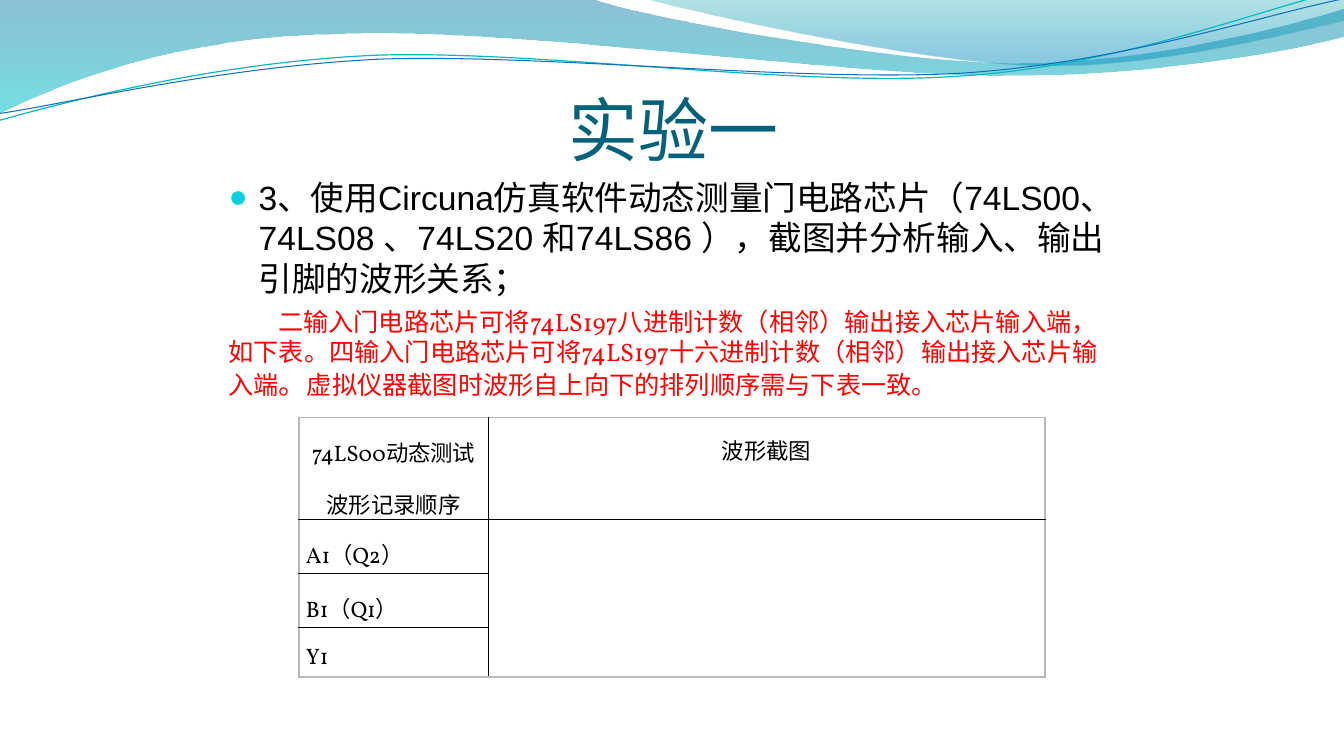
from dataclasses import dataclass

from lxml import etree
from pptx import Presentation
from pptx import util as u
from pptx.dml.color import RGBColor
from pptx.enum import text
from pptx.oxml import parse_xml
from pptx.oxml.ns import nsdecls, qn


@dataclass(frozen=True)
class Theme:
    title_color: str = "04617B"
    body_color: str = "000000"
    hint_color: str = "FF0000"
    bullet_color: str = "0BD0D9"
    frame_color: str = "B8B8B8"
    wave_lines: tuple = (("0AB8BF", 0.85), ("0F6FC6", 0.75))
    wave_fills: tuple = (
        ((0, "0074A1", 45), (100, "00C6CF", 55)),
        ((0, "00A1A9", 30), (80, "008BBF", 45)),
    )
    title_font: str = "Calibri"
    task_font: str = "Arial"
    text_font: str = "Vollkorn"
    title_size: int = 50
    task_size: int = 24
    stop_size: int = 20
    hint_size: int = 18
    cell_size: int = 16


THEME = Theme()
WAVE_UNITS = 13.33
STRAND_ANGLE = 357.3
BANDS = (
    [(0, 0), (5.87, -0.01),
     (6.34, 0.17, 8.85, 0.63, 10.11, 0.63), (11.38, 0.63, 12.78, 0.26, 13.33, 0.09),
     (13.35, 0.36),
     (13.11, 0.44, 11.6, 0.76, 9.94, 0.75), (8.29, 0.75, 5.09, 0.28, 3.43, 0.34),
     (1.72, 0.36, 0.61, 0.83, -0.01, 1.13)],
    [(6.39, -0.01),
     (6.79, 0.11, 9.09, 0.62, 10.25, 0.65), (11.41, 0.69, 12.82, 0.32, 13.33, 0.21),
     (13.33, 0)],
)
STRANDS = (
    [(-0.03, 0.88),
     (0.63, 0.73, 2.11, 0.41, 3.69, 0.41), (5.28, 0.42, 7.88, 0.93, 9.49, 0.89),
     (11.09, 0.87, 12.54, 0.36, 13.33, 0.22)],
    [(-0.02, 0.81),
     (0.62, 0.75, 2.18, 0.45, 3.78, 0.45), (5.37, 0.47, 7.95, 0.88, 9.54, 0.86),
     (11.14, 0.83, 12.56, 0.42, 13.36, 0.3)],
)


def add_run(paragraph, wording, *, font, size, color):
    run = paragraph.add_run()
    run.text = wording
    run.font.name = font
    run.font.size = u.Pt(size)
    run.font.color.rgb = RGBColor.from_string(color)


def draw_outline(slide, box, steps, close):
    left, top, width = box
    scale = width / WAVE_UNITS
    points = [(round(left + step[i] * scale), round(top + step[i + 1] * scale))
              for step in steps for i in range(0, len(step), 2)]
    builder = slide.shapes.build_freeform(*points[0])
    builder.add_line_segments(points[1:], close=close)
    outline = builder.convert_to_shape()
    outline.shadow.inherit = False
    segments = iter(list(outline._element.iter(qn("a:lnTo"))))
    for step in steps[1:]:
        parts = [next(segments) for _ in range(len(step) // 2)]
        if len(parts) == 3:
            curve = etree.Element(qn("a:cubicBezTo"))
            parts[0].addprevious(curve)
            for part in parts:
                curve.append(part[0])
                part.getparent().remove(part)
    return outline


def set_gradient(band, stops):
    marks = "".join(
        f'<a:gs pos="{pos * 1000}"><a:srgbClr val="{color}">'
        f'<a:alpha val="{opacity * 1000}"/></a:srgbClr></a:gs>'
        for pos, color, opacity in stops)
    gradient = parse_xml(
        f'<a:gradFill {nsdecls("a")} rotWithShape="1"><a:gsLst>{marks}</a:gsLst>'
        '<a:lin ang="5400000" scaled="0"/></a:gradFill>')
    band.fill.background()
    properties = band.fill._xPr
    properties.replace(properties.find(qn("a:noFill")), gradient)


def add_waves(slide, box):
    for steps, stops in zip(BANDS, THEME.wave_fills):
        band = draw_outline(slide, box, steps, True)
        set_gradient(band, stops)
        band.line.fill.background()
    for steps, (color, weight) in zip(STRANDS, THEME.wave_lines):
        strand = draw_outline(slide, box, steps, False)
        strand.rotation = STRAND_ANGLE
        strand.fill.background()
        strand.line.color.rgb = RGBColor.from_string(color)
        strand.line.width = u.Pt(weight)


def add_title(slide, box):
    frame = slide.shapes.add_textbox(*box).text_frame
    frame.word_wrap = True
    frame.vertical_anchor = text.MSO_ANCHOR.BOTTOM
    frame.margin_left = frame.margin_right = frame.margin_bottom = 0
    heading = frame.paragraphs[0]
    heading.alignment = text.PP_ALIGN.CENTER
    add_run(heading, "实验一", font=THEME.title_font, size=THEME.title_size,
            color=THEME.title_color)


def add_instructions(slide, box):
    frame = slide.shapes.add_textbox(*box).text_frame
    frame.word_wrap = True
    task = frame.paragraphs[0]
    layout = task._p.get_or_add_pPr()
    layout.set("marL", str(u.Cm(0.76)))
    layout.set("indent", str(u.Cm(-0.76)))
    bullet_color = etree.SubElement(layout, qn("a:buClr"))
    etree.SubElement(bullet_color, qn("a:srgbClr"), val=THEME.bullet_color)
    etree.SubElement(layout, qn("a:buSzPct"), val="95000")
    etree.SubElement(layout, qn("a:buFont"), typeface="Arial")
    etree.SubElement(layout, qn("a:buChar"), char="●")
    task_format = dict(size=THEME.task_size, color=THEME.body_color)
    add_run(task, "3、使用Circuna仿真软件动态测量门电路芯片（74LS00、74LS08 、74LS20 和74LS86 ），截图并分析",
            font=THEME.task_font, **task_format)
    add_run(task, "输入、输出引脚的波形关系；", font=THEME.text_font, **task_format)

    hint = frame.add_paragraph()
    hint.space_before = u.Pt(6)
    layout = hint._p.get_or_add_pPr()
    layout.set("marL", "0")
    layout.set("indent", str(u.Cm(1.25)))
    hint_runs = (
        ("二输入门电路芯片可将74LS197八进制计数（相邻）输出接入芯片输入端，如下表。"
         "四输入门电路芯片可将74LS197十六进制计数（相邻）输出接入芯片输入端", THEME.hint_size),
        ("。", THEME.stop_size),
        ("虚拟仪器截图时波形自上向下的排列顺序需与下表一致。", THEME.hint_size),
    )
    for wording, size in hint_runs:
        add_run(hint, wording, font=THEME.text_font, size=size, color=THEME.hint_color)


def set_borders(cell, outer_sides):
    properties = cell._tc.get_or_add_tcPr()
    for side in "LRTB":
        color = THEME.frame_color if side in outer_sides else THEME.body_color
        weight = u.Pt(1.5 if side in outer_sides and side != "T" else 1)
        properties.append(parse_xml(
            f'<a:ln{side} {nsdecls("a")} w="{weight}"><a:solidFill>'
            f'<a:srgbClr val="{color}"/></a:solidFill></a:ln{side}>'))


def add_record_table(slide, box):
    widths = [u.Cm(4.78), u.Cm(14.02)]
    heights = [u.Cm(2.57), u.Cm(1.36), u.Cm(1.36), u.Cm(1.25)]
    rows = (("74LS00动态测试波形记录顺序", "波形截图"), ("A1（Q2）", ""), ("B1（Q1）", ""), ("Y1", ""))
    table = slide.shapes.add_table(len(rows), 2, *box, sum(widths), sum(heights)).table
    table.first_row = table.horz_banding = False
    for column, width in zip(table.columns, widths):
        column.width = width
    for r, (row, height) in enumerate(zip(rows, heights)):
        table.rows[r].height = height
        for c, wording in enumerate(row):
            cell = table.cell(r, c)
            ends_table = r == len(rows) - 1 or (r and c)
            outer = "LR"[c] + ("T" if r == 0 else "B" if ends_table else "")
            set_borders(cell, outer)
            cell.fill.background()
            cell.margin_left = cell.margin_right = u.Cm(0.18)
            cell.margin_top = cell.margin_bottom = 0
            if wording:
                label = cell.text_frame.paragraphs[0]
                label.alignment = text.PP_ALIGN.JUSTIFY if r else text.PP_ALIGN.CENTER
                label.line_spacing = 1.5
                add_run(label, wording, font=THEME.text_font, size=THEME.cell_size,
                        color=THEME.body_color)
    table.cell(1, 1).merge(table.cell(3, 1))


def main():
    deck = Presentation()
    deck.slide_width, deck.slide_height = u.Cm(33.87), u.Cm(19.05)
    slide = deck.slides.add_slide(deck.slide_layouts[6])
    add_waves(slide, (0, 0, deck.slide_width))
    add_title(slide, (u.Cm(5.54), u.Cm(1.12), u.Cm(22.86), u.Cm(3.18)))
    add_instructions(slide, (u.Cm(5.51), u.Cm(4.33), u.Cm(22.86), u.Cm(13.23)))
    add_record_table(slide, (u.Cm(7.53), u.Cm(10.52)))
    deck.save("out.pptx")


if __name__ == "__main__":
    main()
